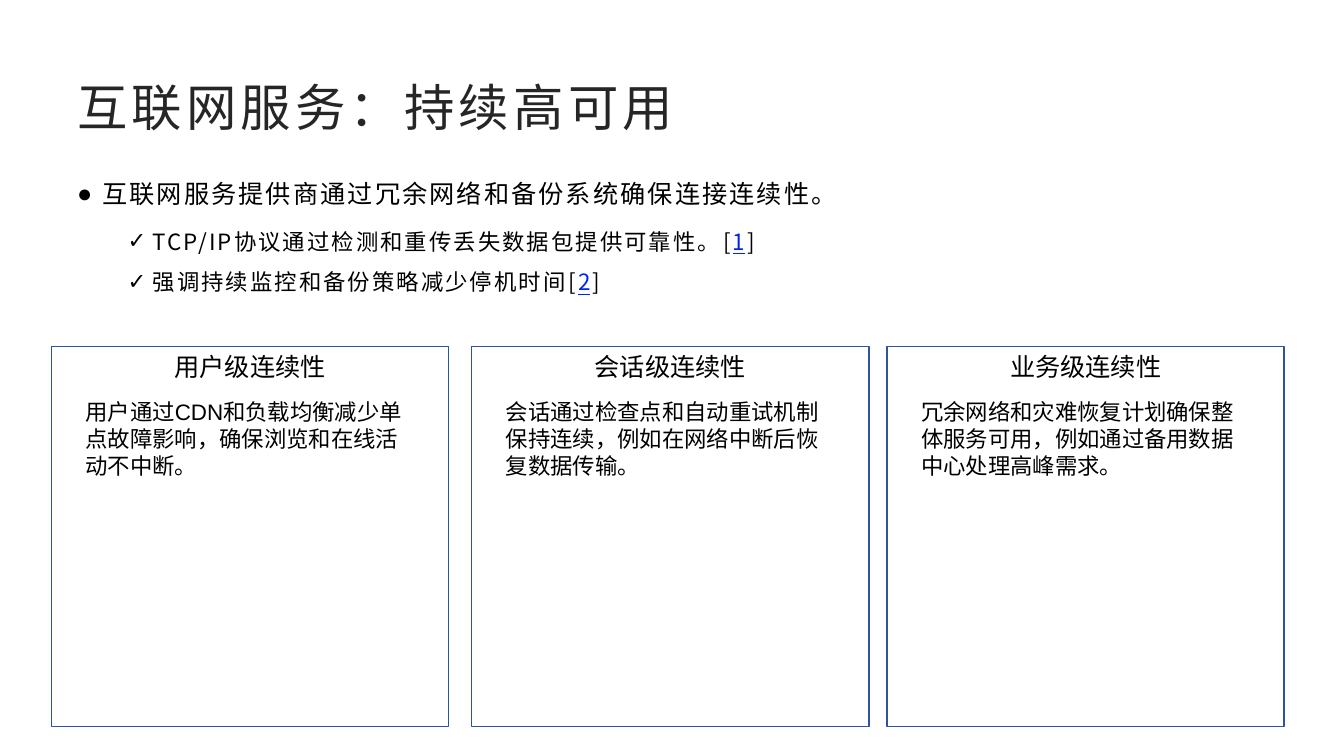
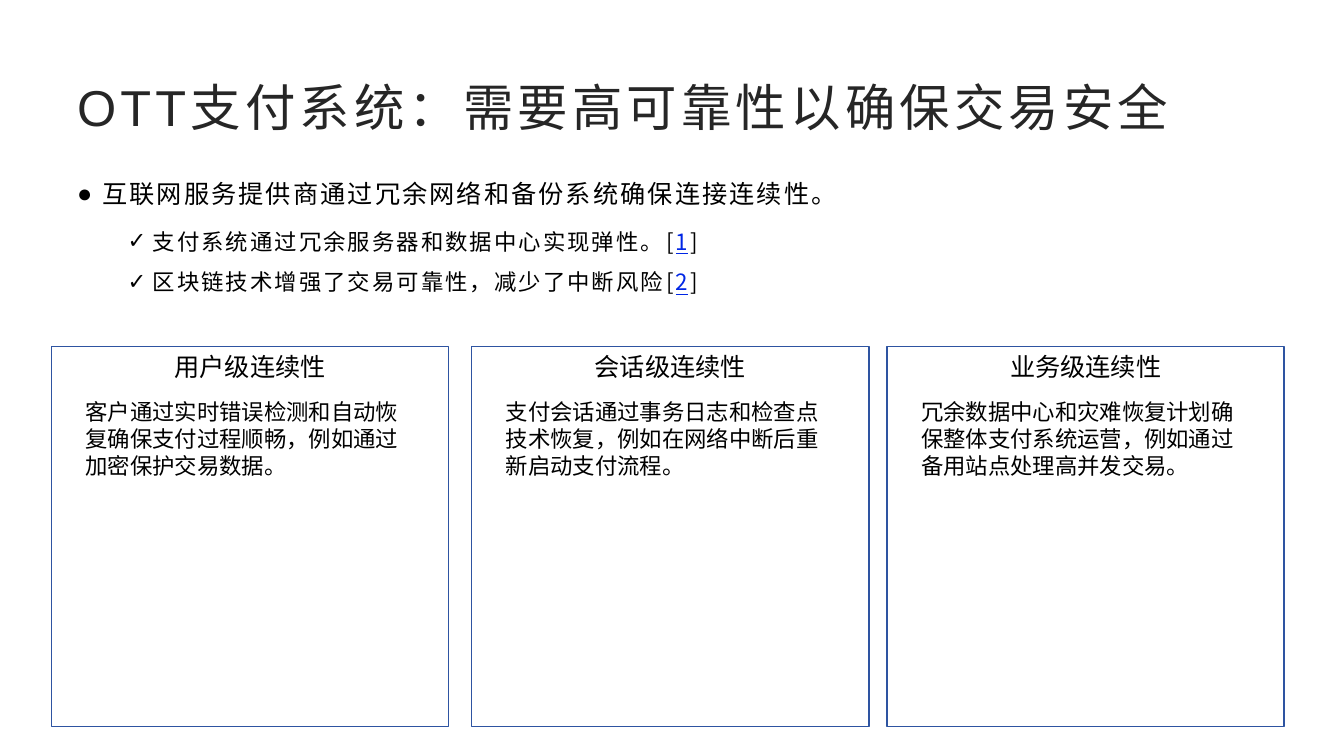
from lxml import etree
from pptx import Presentation, util as u
from pptx.dml.color import RGBColor
from pptx.enum import shapes, text
from pptx.oxml import ns

# Colours and fonts
BLACK = RGBColor(0x00, 0x00, 0x00)
WHITE = RGBColor(0xFF, 0xFF, 0xFF)
CHARCOAL = RGBColor(0x26, 0x26, 0x26)
BORDER_BLUE = RGBColor(0x2E, 0x54, 0xA1)
LINK_BLUE = RGBColor(0x00, 0x26, 0xE5)
ARIAL, NOTO = "Arial", "Noto Sans CJK SC"

# Grid of 80 columns by 45 rows
COLUMNS, ROWS = 80, 45
MARGIN, FULL_WIDTH = 4, 72
CARD_COLUMNS = (3.06, 28.08, 52.8)
CARD_ROW, CARD_WIDTH, CARD_HEIGHT = 20.64, 23.64, 22.62
CARD_TITLES = (("用户级连续性", NOTO), ("会话级连续性", ARIAL), ("业务级连续性", NOTO))

# Text styles; "spacing" is in hundredths of a point
TITLE = {"size": 36, "name": ARIAL, "color": CHARCOAL, "spacing": 300}
LEAD = {"size": 18, "name": NOTO, "color": BLACK, "spacing": 150}
POINT = {**LEAD, "size": 16}
REFERENCE = {**POINT, "color": LINK_BLUE, "underline": True}
CARD_TITLE = {"size": 18, "color": BLACK}
CARD_TEXT = {"size": 16, "name": ARIAL, "color": BLACK}

LEAD_LIST = {"mark": "●", "left": 0.25, "line_spacing": 1.3, "space_after": u.Pt(10)}
POINT_LIST = {"mark": "✓", "left": 0.75, "line_spacing": 1.2, "space_after": u.Pt(6)}
HANGING = 0.25


class Deck:
    def __init__(self):
        self.deck = Presentation()
        self.deck.slide_width = u.Inches(13.33)
        self.deck.slide_height = u.Inches(7.5)
        self.page = None

    def new_page(self):
        self.page = self.deck.slides.add_slide(self.deck.slide_layouts[6])

    def place(self, column, row, width, height):
        """Turn grid columns and rows into lengths."""
        column_size = self.deck.slide_width / COLUMNS
        row_size = self.deck.slide_height / ROWS
        return [u.Emu(round(length)) for length in (
            column * column_size, row * row_size,
            width * column_size, height * row_size)]

    def add_span(self, para, words, style):
        span = para.add_run()
        span.text = words
        font = span.font
        font.color.rgb = style["color"]
        font.size = u.Pt(style["size"])
        for key in ("name", "underline"):
            if key in style:
                setattr(font, key, style[key])
        properties = span._r.get_or_add_rPr()
        properties.set("spc", str(style.get("spacing", 0)))
        etree.SubElement(properties, ns.qn("a:ea")).set("typeface", NOTO)

    def add_bullet(self, para, form):
        for key in ("line_spacing", "space_after"):
            setattr(para, key, form[key])
        properties = para._p.get_or_add_pPr()
        properties.set("marL", str(u.Inches(form["left"])))
        properties.set("indent", str(-u.Inches(HANGING)))
        etree.SubElement(properties, ns.qn("a:buFont")).set("typeface", ARIAL)
        etree.SubElement(properties, ns.qn("a:buChar")).set("char", form["mark"])

    def add_box(self, *cells, anchor=text.MSO_ANCHOR.TOP):
        frame = self.page.shapes.add_textbox(*self.place(*cells)).text_frame
        frame.word_wrap = True
        frame.vertical_anchor = anchor
        return frame

    def add_title(self, words):
        frame = self.add_box(MARGIN, 4, FULL_WIDTH, 4.62, anchor=text.MSO_ANCHOR.MIDDLE)
        self.add_span(frame.paragraphs[0], words, TITLE)

    def add_points(self, lead, points):
        frame = self.add_box(MARGIN, 9.78, FULL_WIDTH, 10.32)
        para = frame.paragraphs[0]
        self.add_bullet(para, LEAD_LIST)
        self.add_span(para, lead, LEAD)
        for number, words in enumerate(points, 1):
            para = frame.add_paragraph()
            para.level = 1
            self.add_bullet(para, POINT_LIST)
            self.add_span(para, words + "[", POINT)
            self.add_span(para, str(number), REFERENCE)
            self.add_span(para, "]", POINT)

    def add_card(self, column, heading, font_name, words):
        card = self.page.shapes.add_shape(
            shapes.MSO_SHAPE.RECTANGLE,
            *self.place(column, CARD_ROW, CARD_WIDTH, CARD_HEIGHT))
        card.shadow.inherit = False
        card.fill.solid()
        card.fill.fore_color.rgb = WHITE
        card.line.color.rgb = BORDER_BLUE
        card.line.width = u.Pt(1)
        card.text_frame.vertical_anchor = text.MSO_ANCHOR.TOP
        para = card.text_frame.paragraphs[0]
        para.alignment = text.PP_ALIGN.CENTER
        self.add_span(para, heading, {**CARD_TITLE, "name": font_name})
        frame = self.add_box(column + 1.44, 23.4, 20.82, 5.46)
        self.add_span(frame.paragraphs[0], words, CARD_TEXT)

    def save(self):
        self.deck.save("out.pptx")


# Contents
LEAD_TEXT = "互联网服务提供商通过冗余网络和备份系统确保连接连续性。"
PAGES = [
    {
        "title": "互联网服务：持续高可用",
        "points": ["TCP/IP协议通过检测和重传丢失数据包提供可靠性。",
                   "强调持续监控和备份策略减少停机时间"],
        "cards": ["用户通过CDN和负载均衡减少单点故障影响，确保浏览和在线活动不中断。",
                  "会话通过检查点和自动重试机制保持连续，例如在网络中断后恢复数据传输。",
                  "冗余网络和灾难恢复计划确保整体服务可用，例如通过备用数据中心处理高峰需求。"],
    },
    {
        "title": "OTT支付系统：需要高可靠性以确保交易安全",
        "points": ["支付系统通过冗余服务器和数据中心实现弹性。",
                   "区块链技术增强了交易可靠性，减少了中断风险"],
        "cards": ["客户通过实时错误检测和自动恢复确保支付过程顺畅，例如通过加密保护交易数据。",
                  "支付会话通过事务日志和检查点技术恢复，例如在网络中断后重新启动支付流程。",
                  "冗余数据中心和灾难恢复计划确保整体支付系统运营，例如通过备用站点处理高并发交易。"],
    },
]


def main():
    deck = Deck()
    for content in PAGES:
        deck.new_page()
        deck.add_title(content["title"])
        deck.add_points(LEAD_TEXT, content["points"])
        for column, (heading, font_name), words in zip(
                CARD_COLUMNS, CARD_TITLES, content["cards"]):
            deck.add_card(column, heading, font_name, words)
    deck.save()


if __name__ == "__main__":
    main()
